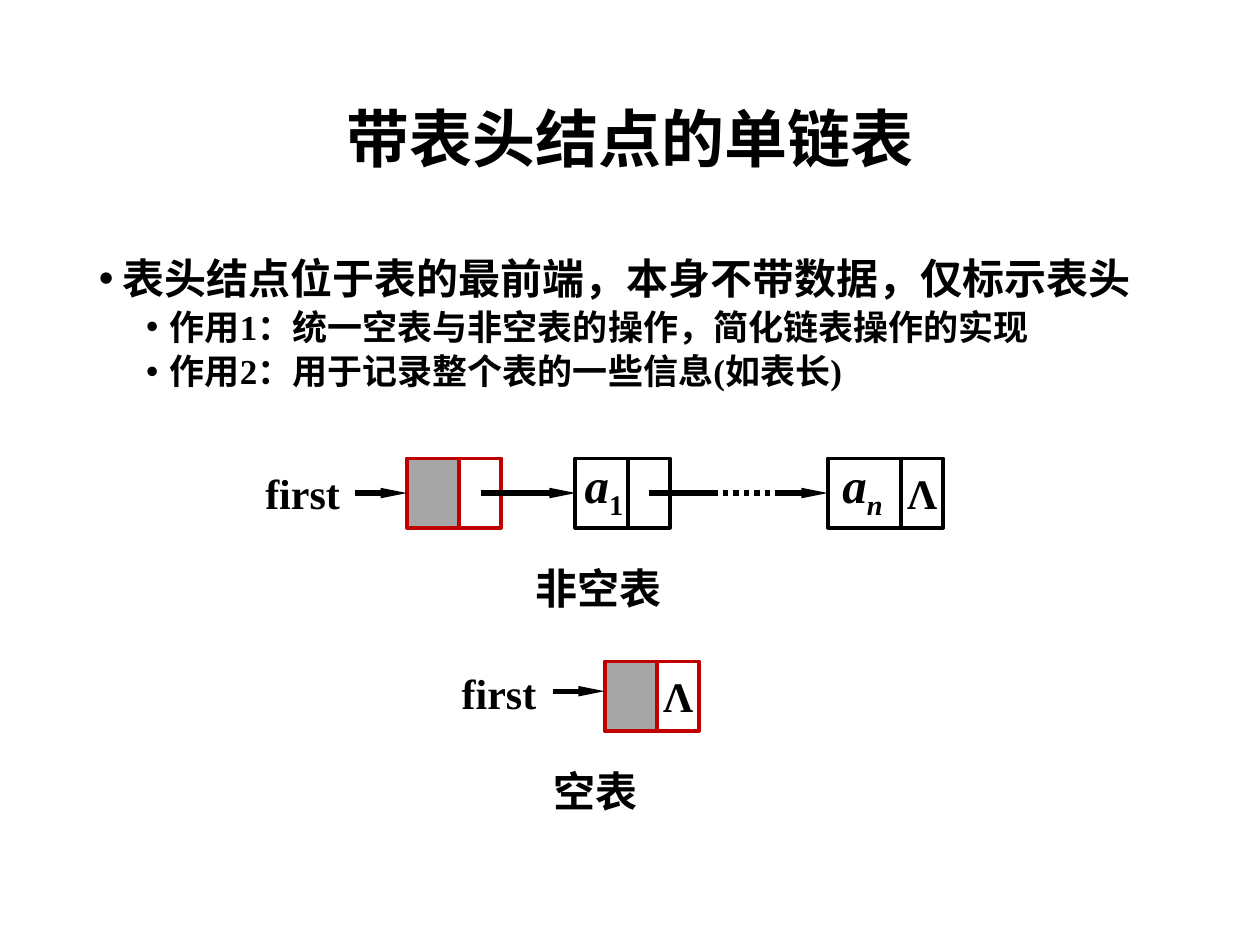
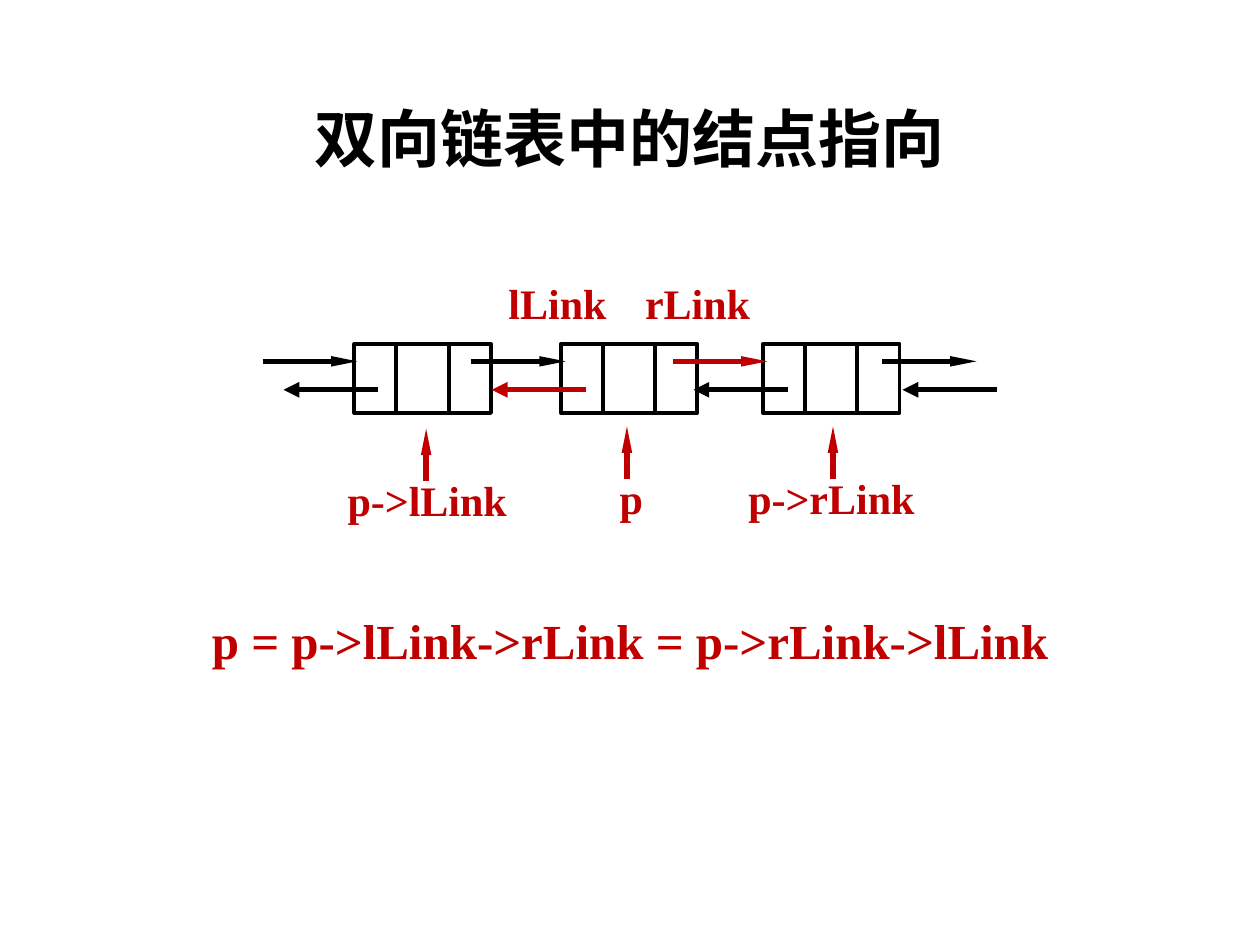
from pptx import Presentation
from pptx.dml.color import RGBColor
from pptx.enum.dml import MSO_LINE
from pptx.enum.shapes import MSO_CONNECTOR, MSO_SHAPE
from pptx.enum.text import MSO_ANCHOR, MSO_AUTO_SIZE, PP_ALIGN
from pptx.oxml.ns import qn
from pptx.util import Pt
from lxml.etree import SubElement

BLACK, WHITE, GRAY, RED = "000000", "FFFFFF", "A6A6A6", "C00000"
CJK, LATIN = "Noto Sans CJK SC", "Times New Roman"
NODE_H, DATA_W, LINK_W = 39.5, 30, 24


def rgb(color):
    return RGBColor.from_string(color)


def write(p, text, size=24, font=LATIN, color=BLACK, italic=False, baseline=0,
          align=None, spacing=None):
    """Append a bold run to the paragraph and set its format."""
    if align is not None:
        p.alignment = align
    if spacing is not None:
        p.line_spacing = spacing
    r = p.add_run()
    r.text = text
    r.font.size, r.font.bold, r.font.italic = Pt(size), True, italic
    r.font.color.rgb = rgb(color)
    r.font.name = font
    SubElement(r.font._element, qn("a:ea")).set("typeface", CJK)
    if baseline:
        r.font._element.set("baseline", str(baseline * 1000))


prs = Presentation()
prs.slide_width, prs.slide_height = Pt(720), Pt(540)

# Slides and titles
slides = []
for title in ("带表头结点的单链表", "双向链表中的结点指向"):
    s = prs.slides.add_slide(prs.slide_layouts[6])
    tf = s.shapes.add_textbox(Pt(49.5), Pt(28.75), Pt(621), Pt(104.4)).text_frame
    tf.word_wrap = True
    tf.vertical_anchor = MSO_ANCHOR.MIDDLE
    write(tf.paragraphs[0], title, size=36, font=CJK,
          align=PP_ALIGN.CENTER, spacing=0.9)
    slides.append(s)
header_list, double_list = slides

# Bullets on the header node
bullets = [
    ("表头结点位于表的最前端，本身不带数据，仅标示表头", 0, 24, CJK),
    ("作用1：统一空表与非空表的操作，简化链表操作的实现", 1, 20, LATIN),
    ("作用2：用于记录整个表的一些信息(如表长)", 1, 20, LATIN),
]
tf = header_list.shapes.add_textbox(Pt(49.5), Pt(144), Pt(621), Pt(342.6)).text_frame
tf.word_wrap = True
for i, (text, level, size, font) in enumerate(bullets):
    p = tf.add_paragraph() if i else tf.paragraphs[0]
    p.level = level
    pPr = p._p.get_or_add_pPr()
    pPr.set("marL", str(Pt(13.5 + 27 * level)))
    pPr.set("indent", str(Pt(-13.5)))
    SubElement(pPr, qn("a:buFont")).set("typeface", "Arial")
    SubElement(pPr, qn("a:buChar")).set("char", "•")
    if i:
        p.space_before = Pt(3.8)
    write(p, text, size=size, font=font, spacing=0.9)

# Pointer equation
tf = double_list.shapes.add_textbox(Pt(49.5), Pt(349.2), Pt(621), Pt(37.5)).text_frame
tf.word_wrap = True
write(tf.paragraphs[0], "p = p->lLink->rLink = p->rLink->lLink", size=28,
      color=RED, align=PP_ALIGN.CENTER, spacing=0.9)

# Nodes: slide, left, top, line colour, cells as (width, fill, mark)
header = (DATA_W, GRAY, "")
data = (DATA_W, WHITE, "")
link = (LINK_W, WHITE, "")
null = (LINK_W, WHITE, "Λ")
nodes = [
    (header_list, 232.5, 262, RED, [header, link]),
    (header_list, 328.75, 262, BLACK, [data, link]),
    (header_list, 473, 262, BLACK, [(42, WHITE, ""), null]),
    (header_list, 345.5, 378, RED, [header, null]),
]
nodes += [(double_list, x, 196.5, BLACK, [link, data, link]) for x in (202.5, 320.5, 436)]
for s, x, y, color, cells in nodes:
    for w, fill, mark in cells:
        sp = s.shapes.add_shape(MSO_SHAPE.RECTANGLE, Pt(x), Pt(y), Pt(w), Pt(NODE_H))
        sp.shadow.inherit = False
        sp.fill.solid()
        sp.fill.fore_color.rgb = rgb(fill)
        sp.line.color.rgb = rgb(color)
        sp.line.width = Pt(2.25)
        if mark:
            sp.text_frame.word_wrap = False
            sp.text_frame.vertical_anchor = MSO_ANCHOR.MIDDLE
            write(sp.text_frame.paragraphs[0], mark, align=PP_ALIGN.CENTER)
        x += w

# Lines: slide, from, to, colour, arrowhead as (end, width, length)
FORWARD, BACK = ("tailEnd", "sm", "lg"), ("headEnd", "med", "med")
lines = [
    (header_list, (203, 281.75), (232.5, 281.75), BLACK, FORWARD),
    (header_list, (275, 281.75), (329, 281.75), BLACK, FORWARD),
    (header_list, (371, 281.75), (407, 281.75), BLACK, None),
    (header_list, (443, 281.75), (473, 281.75), BLACK, FORWARD),
    (header_list, (315.75, 395), (345.5, 395), BLACK, FORWARD),
]
for i, x in enumerate((150.25, 269.25, 384.5, 504)):
    lines.append((double_list, (x, 206.5), (x + 54, 206.5), RED if i == 2 else BLACK, FORWARD))
    lines.append((double_list, (x + 11.75, 222.75), (x + 65.75, 222.75),
                  RED if i == 1 else BLACK, BACK))
for x, y in ((243.5, 275), (358.25, 273.75), (476, 273.75)):
    lines.append((double_list, (x, y), (x, y - 30), RED, FORWARD))
dotted = (header_list, (407, 281.75), (443, 281.75), BLACK, None)
for spec_line in lines + [dotted]:
    s, start, end, color, arrow = spec_line
    c = s.shapes.add_connector(MSO_CONNECTOR.STRAIGHT, *map(Pt, start + end))
    SubElement(c._element.spPr, qn("a:effectLst"))
    c.line.color.rgb = rgb(color)
    c.line.width = Pt(3)
    if spec_line is dotted:
        c.line.dash_style = MSO_LINE.ROUND_DOT
    if arrow:
        tag, w, length = arrow
        head = SubElement(c.line._get_or_add_ln(), qn("a:" + tag))
        for key, value in (("type", "triangle"), ("w", w), ("len", length)):
            head.set(key, value)

# Labels: slide, text, left, top, width, font, colour
labels = [
    (header_list, "first", 144.5, 263.5, 57.75, LATIN, BLACK),
    (header_list, "first", 256.75, 378, 57.75, LATIN, BLACK),
    (header_list, "非空表", 297.5, 317, 90.5, CJK, BLACK),
    (header_list, "空表", 308, 433.25, 66.25, CJK, BLACK),
    (double_list, "lLink", 283.5, 155, 71.25, LATIN, RED),
    (double_list, "rLink", 361.5, 155, 74.75, LATIN, RED),
    (double_list, "p->lLink", 191.5, 267.75, 106.5, LATIN, RED),
    (double_list, "p", 347, 266.5, 28, LATIN, RED),
    (double_list, "p->rLink", 420.5, 266.5, 111.5, LATIN, RED),
]
for s, text, x, y, w, font, color in labels:
    tf = s.shapes.add_textbox(Pt(x), Pt(y), Pt(w), Pt(36)).text_frame
    tf.word_wrap = False
    tf.auto_size = MSO_AUTO_SIZE.SHAPE_TO_FIT_TEXT
    if font == CJK:
        tf.margin_left = tf.margin_right = Pt(8.5)
        tf.margin_top = tf.margin_bottom = Pt(4.25)
    write(tf.paragraphs[0], text, font=font, color=color)

# Element names with subscripts
for subscript, x, w, italic in (("1", 327, 44, False), ("n", 474.25, 59, True)):
    tf = header_list.shapes.add_textbox(Pt(x), Pt(256.25), Pt(w), Pt(41)).text_frame
    tf.word_wrap = True
    tf.auto_size = MSO_AUTO_SIZE.SHAPE_TO_FIT_TEXT
    p = tf.paragraphs[0]
    write(p, "a", size=28, italic=True)
    write(p, subscript, size=28, italic=italic, baseline=-25)

prs.save("out.pptx")
